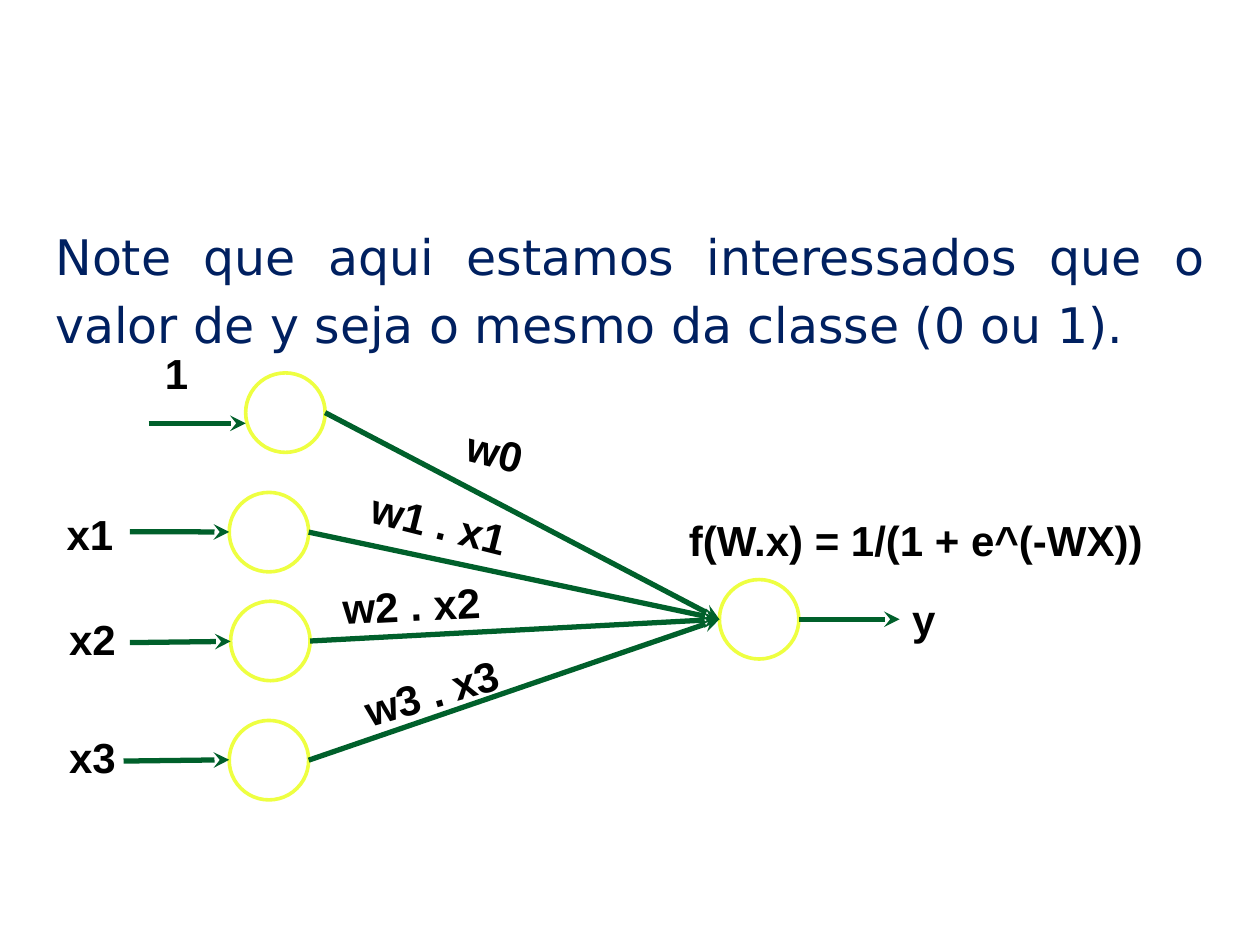
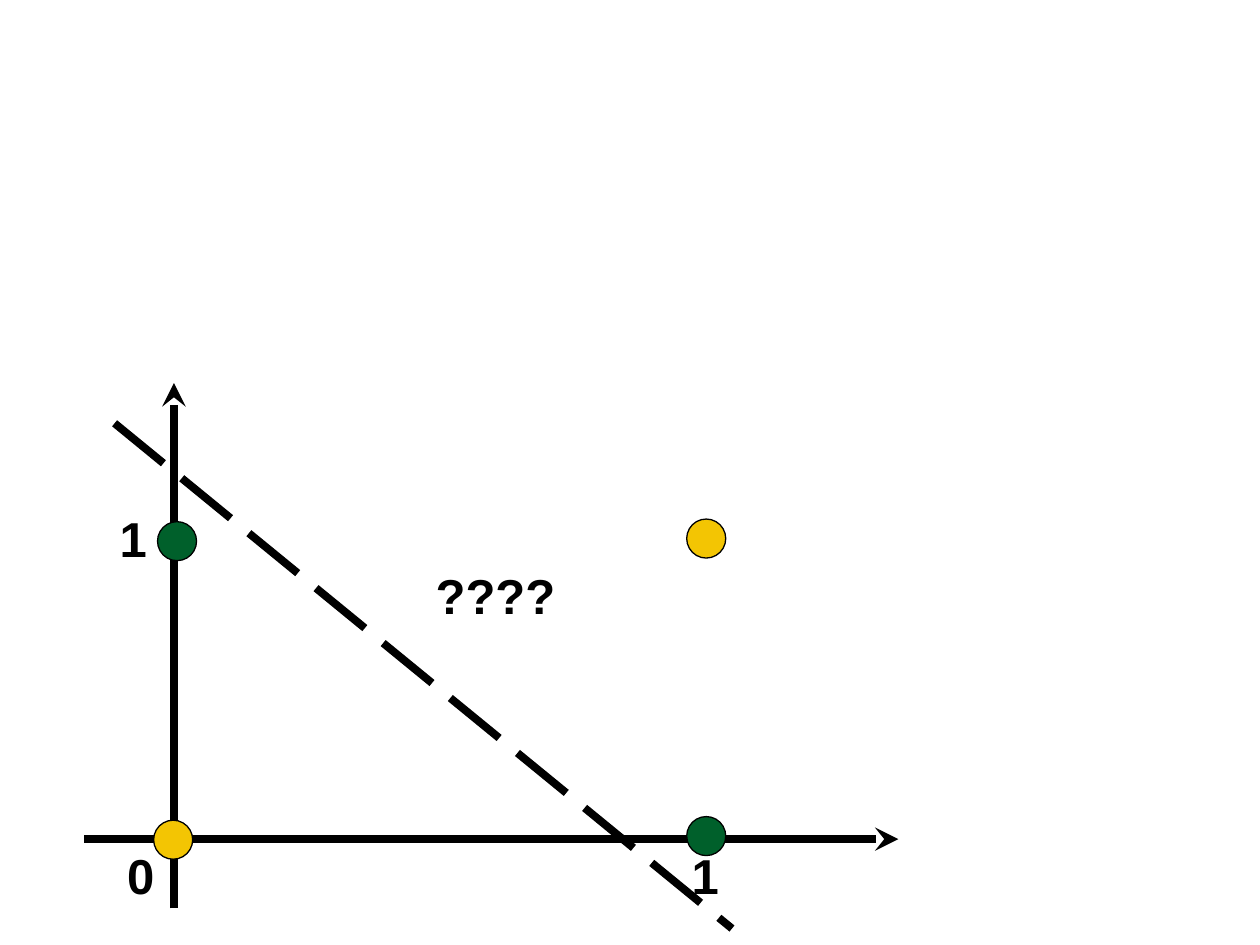
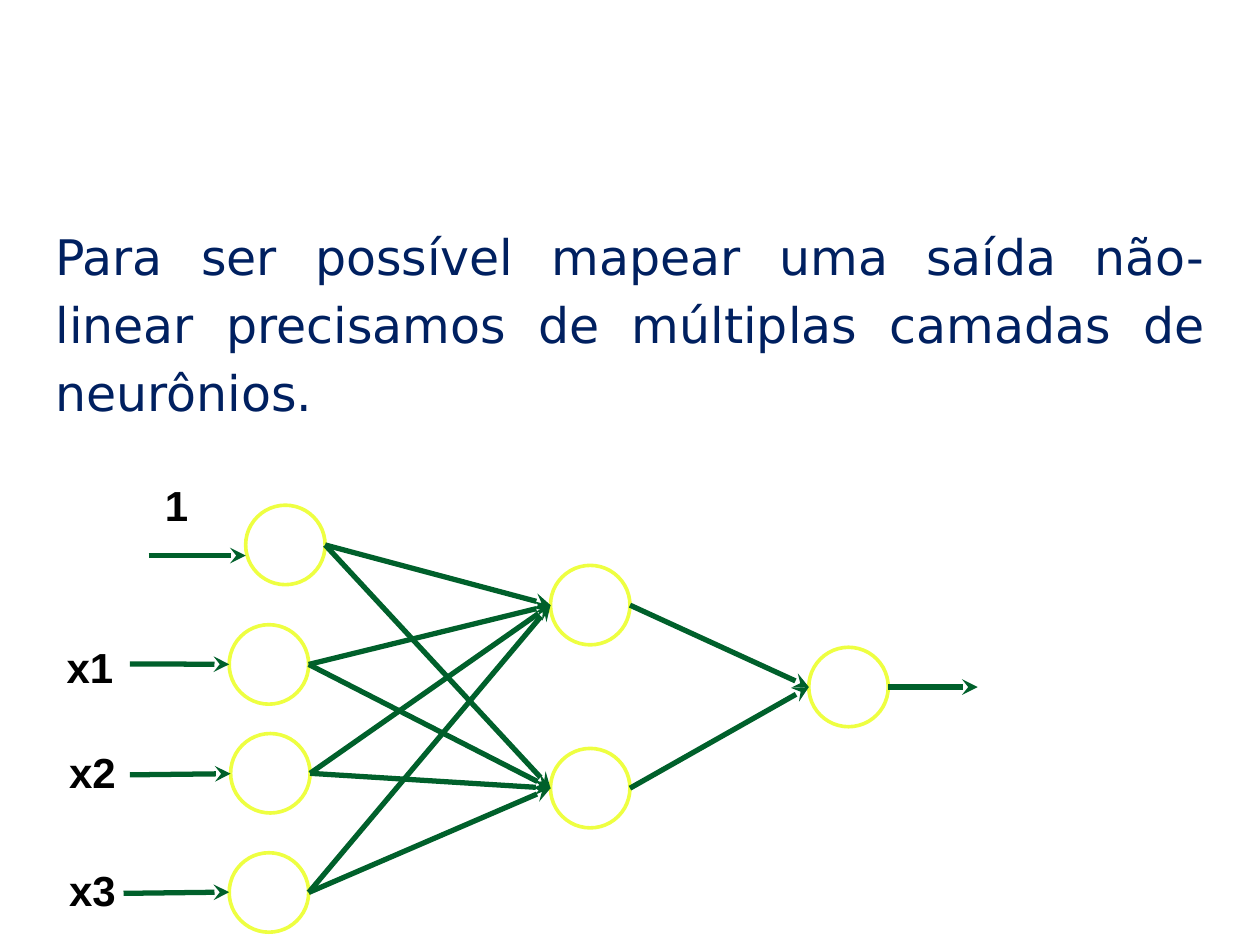
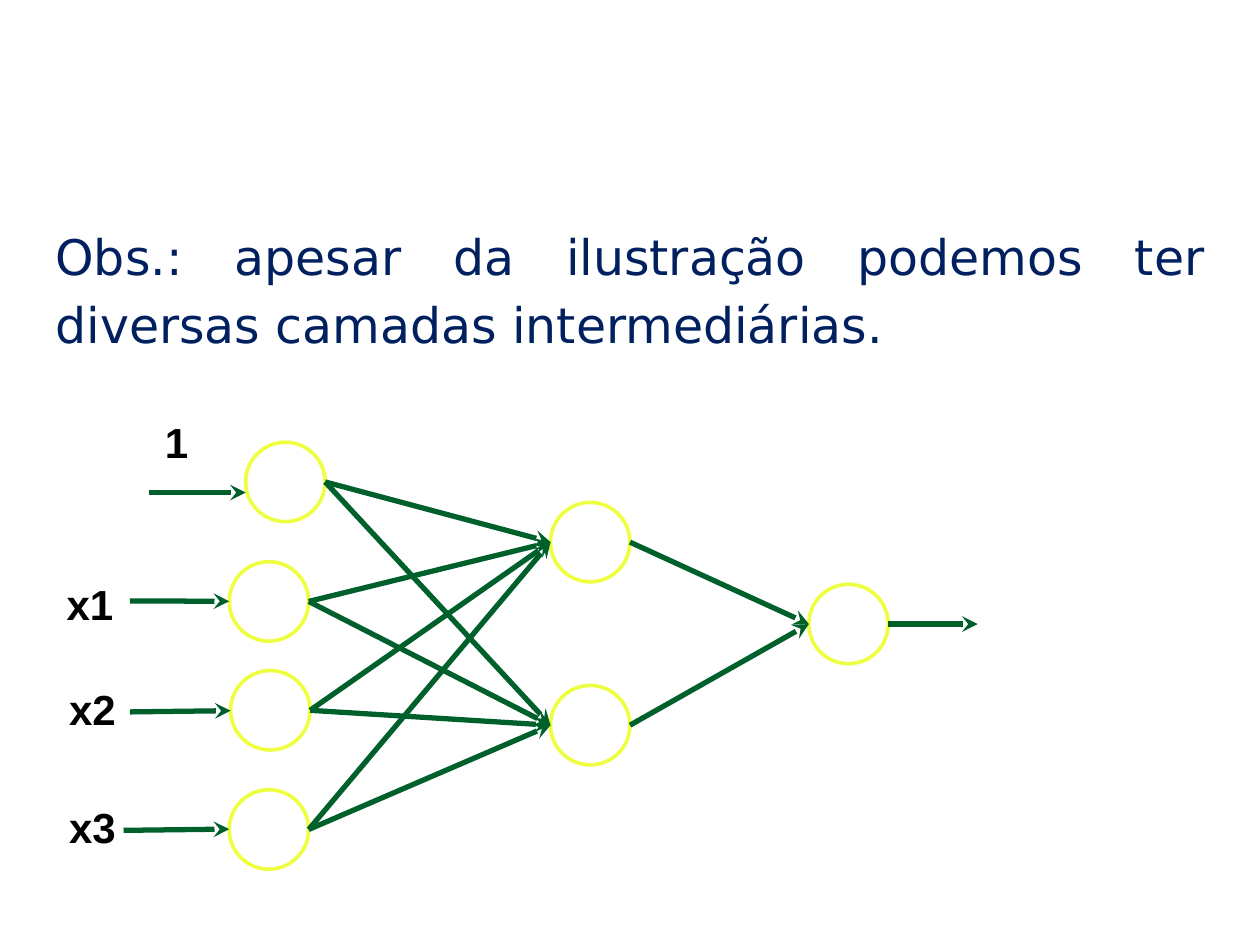
from pptx import Presentation
from pptx.dml.color import RGBColor
from pptx.enum.dml import MSO_LINE
from pptx.enum.shapes import MSO_CONNECTOR, MSO_SHAPE
from pptx.enum.text import MSO_ANCHOR, MSO_AUTO_SIZE, PP_ALIGN
from pptx.oxml.ns import qn
from pptx.util import Pt
from lxml.etree import SubElement

# Shared look
COLORS = {"body": "002060", "ink": "000000", "green": "00602B",
          "ring": "EEFF41", "gold": "F3C503", "white": "FFFFFF"}
NODE = 45.4
DOT = 22.3
BODY_BOX = (24.5, 121, 671, 358.6)
BODY_FORMAT = {"alignment": PP_ALIGN.JUSTIFY, "line_spacing": 1.15,
               "space_before": Pt(0), "space_after": Pt(12)}
INSETS = {"margin_left": Pt(7.2), "margin_right": Pt(7.2),
          "margin_top": Pt(3.6), "margin_bottom": Pt(3.6)}

# Input layer: label, label box, arrow start, arrow end height, node corner
INPUTS = [
    ("1", (87.1, 195.1, 28.1), (85, 241.9), 241.9, (140.4, 213.1)),
    ("x1", (31, 287.3, 41.8), (74.2, 303.8), 304, (131, 281.4)),
    ("x2", (32.4, 347.2, 41.8), (74.2, 367.2), 366.5, (131.8, 343.6)),
    ("x3", (32.4, 414.7, 41.8), (70.6, 434.9), 434.2, (131, 411.7)),
]

# Networks: text, downward shift, later layers of node corners, output arrow length
NETWORKS = {
    "single": ("Note que aqui estamos interessados que o valor de y seja o "
               "mesmo da classe (0 ou 1).",
               0, [[(411.1, 331.2)]], 57.6),
    "multilayer": ("Para ser possível mapear uma saída não-linear precisamos de "
                   "múltiplas camadas de neurônios.",
                   75.6, [[(314.6, 247.5), (314.6, 352.1)], [(462.2, 294.3)]], 51.1),
    "note": ("Obs.: apesar da ilustração podemos ter diversas camadas "
             "intermediárias.",
             39.6, [[(314.6, 247.5), (314.6, 352.1)], [(462.2, 294.3)]], 51.1),
}

# Labels of the single neuron: text, left, top, width, rotation
WEIGHT_LABELS = [
    ("w0", 259.9, 239.8, 46.8, 14.1),
    ("w1 . x1", 204.5, 280.8, 93.6, 14.1),
    ("w2 . x2", 188.6, 327.6, 93.6, 357.1),
    ("w3 . x3", 200.2, 377.3, 93.6, 343.9),
    ("f(W.x) = 1/(1 + e^(-WX))", 386.6, 290.2, 297.4, 0),
    ("y", 514.1, 335.5, 28.1, 0),
]

# XOR plot: axes, points, dividing line and labels
AXES = [((99.4, 519.1), (99.4, 218.9)), ((48.2, 479.5), (513.4, 479.5))]
POINTS = [(90, 298.1, "green"), (87.8, 468.7, "gold"),
          (392.4, 466.6, "green"), (392.4, 296.6, "gold")]
DIVIDER = ((65.5, 241.9), (418.3, 530.6))
PLOT_LABELS = [("0", 65.5, 479.5, 30.2), ("1", 61.2, 287.3, 30.2),
               ("1", 388.1, 479.5, 30.2), ("????", 241.9, 319.7, 83.5)]


def rgb(name):
    return RGBColor.from_string(COLORS[name])


def set_format(target, values):
    for name, value in values.items():
        setattr(target, name, value)


def write(p, text, font, size, color, bold):
    r = p.add_run()
    r.text = text
    set_format(r.font, {"name": font, "size": Pt(size), "bold": bold})
    r.font.color.rgb = rgb(color)


def add_label(s, text, left, top, width, rotation=0, size=24):
    sp = s.shapes.add_textbox(Pt(left), Pt(top), Pt(width), Pt(size * 1.2 + 7.2))
    sp.rotation = rotation
    tf = sp.text_frame
    set_format(tf, {**INSETS, "word_wrap": False})
    write(tf.paragraphs[0], text, "Arial", size, "ink", True)


def add_circle(s, left, top, size, fill, line, width):
    sp = s.shapes.add_shape(MSO_SHAPE.OVAL, Pt(left), Pt(top), Pt(size), Pt(size))
    sp.shadow.inherit = False
    sp.fill.solid()
    sp.fill.fore_color.rgb = rgb(fill)
    sp.line.color.rgb = rgb(line)
    sp.line.width = Pt(width)


def add_line(s, start, end, color="green", width=3, arrow=True):
    ends = [Pt(v) for v in (*start, *end)]
    sp = s.shapes.add_connector(MSO_CONNECTOR.STRAIGHT, *ends)
    sp.line.color.rgb = rgb(color)
    sp.line.width = Pt(width)
    props = sp.element.spPr
    if arrow:
        SubElement(props.find(qn("a:ln")), qn("a:tailEnd"), type="stealth")
    else:
        sp.line.dash_style = MSO_LINE.LONG_DASH
    SubElement(props, qn("a:effectLst"))


def add_body(s, text):
    sp = s.placeholders[1]
    sp.left, sp.top, sp.width, sp.height = [Pt(v) for v in BODY_BOX]
    tf = sp.text_frame
    set_format(tf, {**INSETS, "word_wrap": True, "auto_size": MSO_AUTO_SIZE.NONE,
                    "vertical_anchor": MSO_ANCHOR.TOP})
    p = tf.paragraphs[0]
    set_format(p, BODY_FORMAT)
    props = p._p.get_or_add_pPr()
    props.set("marL", "0")
    props.set("indent", "0")
    SubElement(props, qn("a:buNone"))
    write(p, text, "DejaVu Sans", 28, "body", False)


def left_of(node):
    return node[0], node[1] + NODE / 2


def right_of(node):
    return node[0] + NODE, node[1] + NODE / 2


def add_network(prs, text, shift, later_layers, output_length):
    s = prs.slides.add_slide(prs.slide_layouts[1])
    title = s.shapes.title.element
    title.getparent().remove(title)
    add_body(s, text)

    # Nodes, layer by layer
    layers = [[row[-1] for row in INPUTS], *later_layers]
    layers = [[(x, y + shift) for x, y in layer] for layer in layers]
    for layer in layers:
        for left, top in layer:
            add_circle(s, left, top, NODE, "white", "ring", 2.08)

    # Input labels and arrows
    for label, (left, top, width), (x, y), end_y, node in INPUTS:
        add_label(s, label, left, top + shift, width)
        add_line(s, (x, y + shift), (node[0], end_y + shift))

    # Every node feeds every node of the next layer
    for sources, targets in zip(layers, layers[1:]):
        for source in sources:
            for target in targets:
                add_line(s, right_of(source), left_of(target))
    x, y = right_of(layers[-1][0])
    add_line(s, (x, y), (x + output_length, y))
    return s


def add_plot(prs):
    s = prs.slides.add_slide(prs.slide_layouts[6])
    for start, end in AXES:
        add_line(s, start, end, "ink", 4.5)
    for left, top, color in POINTS:
        add_circle(s, left, top, DOT, color, "ink", 0.75)
    add_line(s, *DIVIDER, "ink", 4.5, arrow=False)
    for label in PLOT_LABELS:
        add_label(s, *label, size=28)


def main():
    prs = Presentation()
    prs.slide_width, prs.slide_height = Pt(720), Pt(540)
    s = add_network(prs, *NETWORKS["single"])
    for label in WEIGHT_LABELS:
        add_label(s, *label)
    add_plot(prs)
    add_network(prs, *NETWORKS["multilayer"])
    add_network(prs, *NETWORKS["note"])
    prs.save("out.pptx")


if __name__ == "__main__":
    main()
